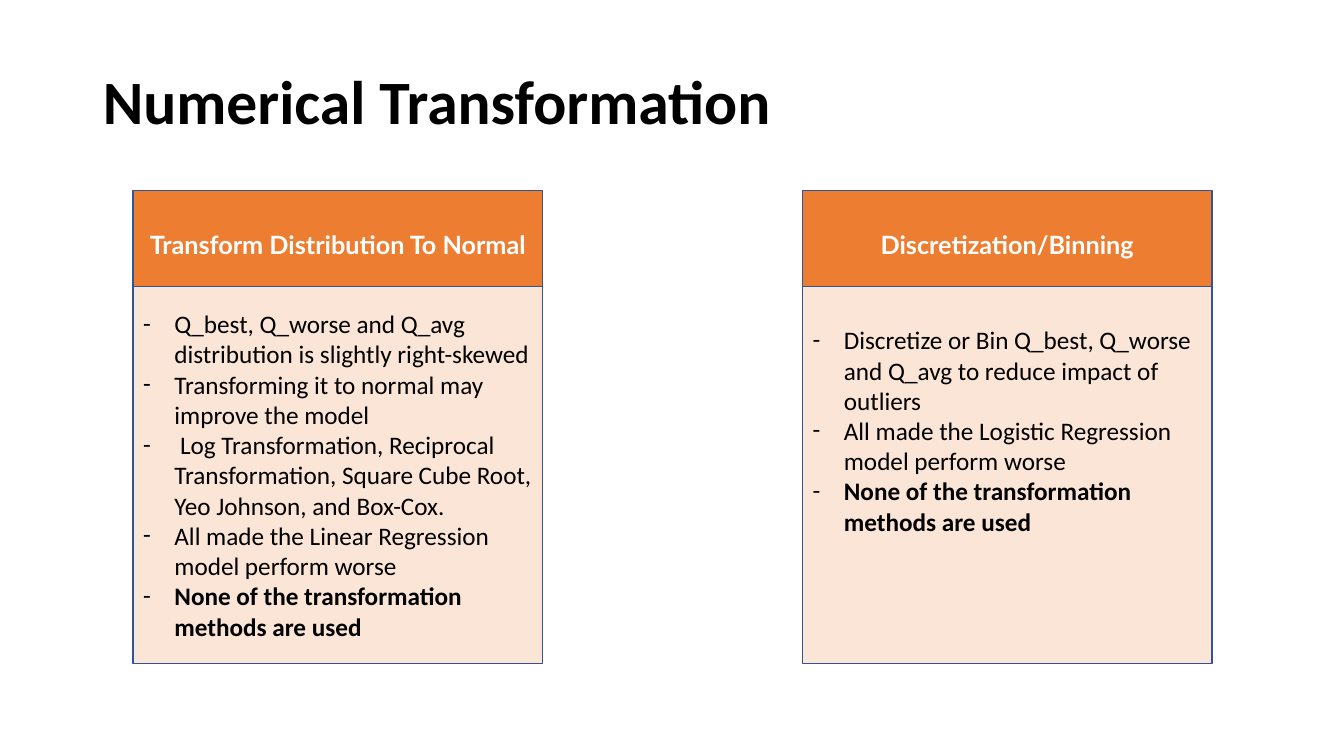
"""Build the numerical transformation slide with two comparison cards."""
from dataclasses import dataclass

from lxml.etree import SubElement
from pptx import Presentation
from pptx.dml.color import RGBColor
from pptx.enum.text import MSO_ANCHOR, MSO_AUTO_SIZE, PP_ALIGN
from pptx.oxml.ns import qn
from pptx.util import Inches, Pt

TITLE = "Numerical Transformation"
LAST = "None of the transformation methods are used"
CARDS = [
    {
        "head": "Transform Distribution To Normal",
        "items": [
            "Q_best, Q_worse and Q_avg distribution is slightly right-skewed",
            "Transforming it to normal may improve the model",
            " Log Transformation, Reciprocal Transformation, Square Cube Root, "
            "Yeo Johnson, and Box-Cox.",
            "All made the Linear Regression model perform worse",
            LAST,
        ],
        "foot": 0.05,
    },
    {
        "head": "Discretization/Binning",
        "items": [
            "Discretize or Bin Q_best, Q_worse and Q_avg to reduce impact of outliers",
            "All made the Logistic Regression model perform worse",
            LAST,
        ],
        "foot": 0.93,
    },
]


@dataclass
class Theme:
    """Hold the colours, fonts and type sizes."""
    ink: str = "000000"
    white: str = "FFFFFF"
    head: str = "ED7D31"
    body: str = "FBE5D6"
    edge: str = "325491"
    font: str = "Calibri"
    label: str = "Lato"
    big: int = 44
    text: int = 18


LOOK = Theme()
LEFT, STEP, WIDTH = 1.32, 6.64, 4.06
HEAD = (1.89, 1.06)
BODY = (2.84, 3.74)
INDENT = 0.31


def place(shape, left, top, width, height):
    """Move a placeholder and centre its text vertically."""
    shape.left, shape.top = Inches(left), Inches(top)
    shape.width, shape.height = Inches(width), Inches(height)
    frame = shape.text_frame
    frame.auto_size = MSO_AUTO_SIZE.NONE
    frame.word_wrap = True
    frame.vertical_anchor = MSO_ANCHOR.MIDDLE
    return frame


def paint(shape, fill):
    """Give a card part its fill and edge."""
    shape.fill.solid()
    shape.fill.fore_color.rgb = RGBColor.from_string(fill)
    shape.line.color.rgb = RGBColor.from_string(LOOK.edge)
    shape.line.width = Pt(1)


def write(para, text, font, size, color, bold, align=PP_ALIGN.LEFT):
    """Add one styled run to a paragraph."""
    para.alignment = align
    para.space_before = Pt(0)
    run = para.add_run()
    run.text = text
    run.font.name = font
    run.font.size = Pt(size)
    run.font.bold = bold
    run.font.color.rgb = RGBColor.from_string(color)


def dash(para):
    """Give a paragraph a hanging dash."""
    props = para._p.get_or_add_pPr()
    props.set("marL", str(Inches(INDENT)))
    props.set("indent", str(-Inches(INDENT)))
    SubElement(props, qn("a:buFont")).set("typeface", LOOK.font)
    SubElement(props, qn("a:buChar")).set("char", "-")


def add_card(slide, num, card):
    """Fill one heading and its list."""
    left = LEFT + num * STEP
    head = slide.placeholders[1 + 2 * num]
    body = slide.placeholders[2 + 2 * num]
    paint(head, LOOK.head)
    frame = place(head, left, HEAD[0], WIDTH, HEAD[1])
    write(frame.paragraphs[0], card["head"], LOOK.label, LOOK.text,
          LOOK.white, True, PP_ALIGN.CENTER)
    paint(body, LOOK.body)
    frame = place(body, left, BODY[0], WIDTH, BODY[1])
    frame.margin_bottom = Inches(card["foot"])
    for row, item in enumerate(card["items"]):
        para = frame.add_paragraph() if row else frame.paragraphs[0]
        write(para, item, LOOK.font, LOOK.text, LOOK.ink, item == LAST)
        dash(para)


def main():
    """Make the deck and save it."""
    deck = Presentation()
    deck.slide_width, deck.slide_height = Inches(13.33), Inches(7.5)
    slide = deck.slides.add_slide(deck.slide_layouts.get_by_name("Comparison"))
    frame = place(slide.shapes.title, 0.92, 0.4, 11.5, 1.28)
    para = frame.paragraphs[0]
    write(para, TITLE, LOOK.font, LOOK.big, LOOK.ink, True)
    para.line_spacing = 0.9
    para.space_after = Pt(6)
    for num, card in enumerate(CARDS):
        add_card(slide, num, card)
    deck.save("out.pptx")


if __name__ == "__main__":
    main()
